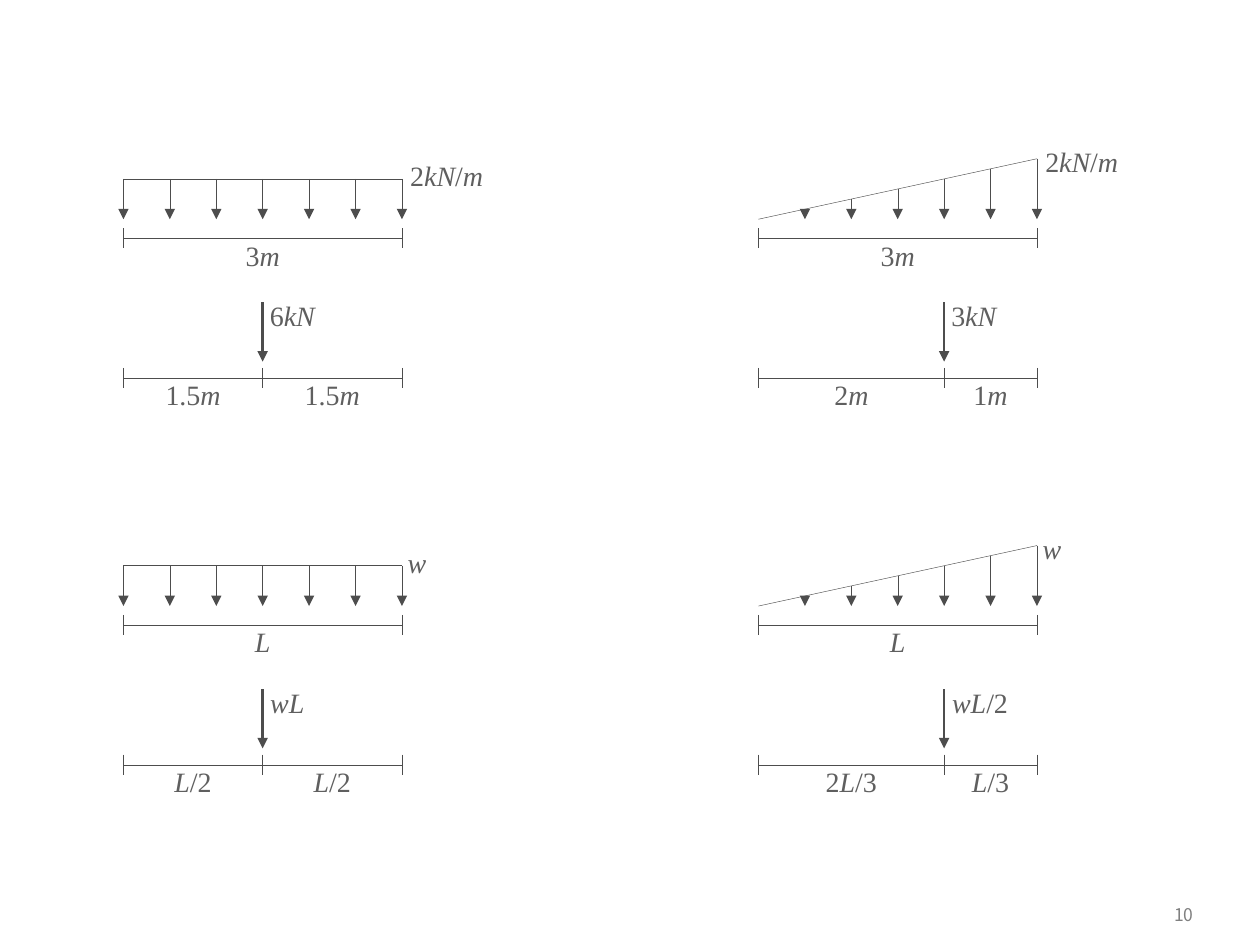
import itertools
import pptx
import pptx.util
import pptx.dml.color
import pptx.enum.shapes
import pptx.enum.text
import pptx.oxml

Inches = pptx.util.Inches
Pt = pptx.util.Pt
RGBColor = pptx.dml.color.RGBColor
ALIGN = pptx.enum.text.PP_ALIGN
ANCHOR = pptx.enum.text.MSO_ANCHOR

INK = RGBColor(0x4D, 0x4D, 0x4D)
TEXT = RGBColor(0x5F, 0x5F, 0x5F)
GREY = RGBColor(0x80, 0x80, 0x80)
SERIF = "Times New Roman"
SANS = "Noto Sans CJK KR"

BEAMS = [
    dict(left=0.98, tip=1.74, slope=False, load="2kN/m", span="3m",
         force="6kN", parts=("1.5m", "1.5m")),
    dict(left=6.02, tip=1.74, slope=True, load="2kN/m", span="3m",
         force="3kN", parts=("2m", "1m")),
    dict(left=0.98, tip=4.81, slope=False, load="w", span="L",
         force="wL", parts=("L/2", "L/2")),
    dict(left=6.02, tip=4.81, slope=True, load="w", span="L",
         force="wL/2", parts=("2L/3", "L/3")),
]
WIDTHS = {"2kN/m": 0.71, "w": 0.24, "L": 0.16, "6kN": 0.47, "3kN": 0.47,
          "wL": 0.39, "wL/2": 0.57, "1.5m": 0.47, "2L/3": 0.47}
SPAN = 2.21
STEPS = 6
TICK = 0.08
HIGH = 0.27


def add_line(group, x1, y1, x2, y2, weight=0.25, arrow=False):
    line = group.shapes.add_connector(
        pptx.enum.shapes.MSO_CONNECTOR.STRAIGHT,
        Inches(x1), Inches(y1), Inches(x2), Inches(y2))
    line.line.color.rgb = INK
    line.line.width = Pt(weight)
    if arrow:
        end = pptx.oxml.parse_xml(
            '<a:tailEnd xmlns:a="http://schemas.openxmlformats.org/drawingml/2006/main"'
            ' type="triangle"/>')
        line.line._get_or_add_ln().append(end)
    line._element.spPr.append(pptx.oxml.parse_xml(
        '<a:effectLst xmlns:a="http://schemas.openxmlformats.org/drawingml/2006/main"/>'))


def add_run(para, words, font, size, color, slant=False):
    run = para.add_run()
    run.text = words
    run.font.name = font
    run.font.size = Pt(size)
    run.font.color.rgb = color
    run.font.italic = slant


def add_label(group, words, left, top):
    box = group.shapes.add_textbox(
        Inches(left), Inches(top), Inches(width_of(words)), Inches(HIGH))
    frame = box.text_frame
    frame.margin_left = frame.margin_right = 0
    frame.margin_top = frame.margin_bottom = 0
    frame.word_wrap = True
    para = frame.paragraphs[0]
    para.alignment = ALIGN.CENTER
    for slant, chars in itertools.groupby(words, str.isalpha):
        add_run(para, "".join(chars), SERIF, 16, TEXT, slant)


def width_of(words):
    return WIDTHS.get(words, 0.32)


def add_scale(group, stops, y, labels):
    add_line(group, stops[0], y, stops[-1], y)
    for x in stops:
        add_line(group, x, y - TICK, x, y + TICK)
    for start, stop, words in zip(stops, stops[1:], labels):
        add_label(group, words, (start + stop - width_of(words)) / 2, y)


def draw_load(group, beam):
    left, tip, slope = beam["left"], beam["tip"], beam["slope"]
    right = left + SPAN
    peak = 0.48 if slope else 0.32
    add_line(group, right, tip - peak, left, tip if slope else tip - peak)
    for i in range(1 if slope else 0, STEPS + 1):
        x = left + SPAN * i / STEPS
        rise = peak * i / STEPS if slope else peak
        add_line(group, x, tip - rise, x, tip, arrow=True)
    add_label(group, beam["load"], right, tip - (0.59 if slope else 0.48))
    add_scale(group, [left, right], tip + 0.15, [beam["span"]])


def draw_force(group, beam):
    left, tip = beam["left"], beam["tip"]
    x = left + SPAN * (2 / 3 if beam["slope"] else 1 / 2)
    add_line(group, x, tip + 0.66, x, tip + 1.13, 1.5, True)
    add_label(group, beam["force"], x, tip + 0.63)
    add_scale(group, [left, x, left + SPAN], tip + 1.26, beam["parts"])


def main():
    deck = pptx.Presentation()
    deck.slide_width, deck.slide_height = Inches(10), Inches(7.5)
    slide = deck.slides.add_slide(deck.slide_layouts[6])
    for beam in BEAMS:
        draw_load(slide.shapes.add_group_shape(), beam)
        draw_force(slide.shapes.add_group_shape(), beam)
    page = slide.shapes.add_textbox(
        Inches(8.86), Inches(7.09), Inches(0.71), Inches(0.33))
    page.text_frame.word_wrap = True
    page.text_frame.vertical_anchor = ANCHOR.MIDDLE
    para = page.text_frame.paragraphs[0]
    para.alignment = ALIGN.RIGHT
    add_run(para, "10", SANS, 10, GREY)
    deck.save("out.pptx")


if __name__ == "__main__":
    main()
